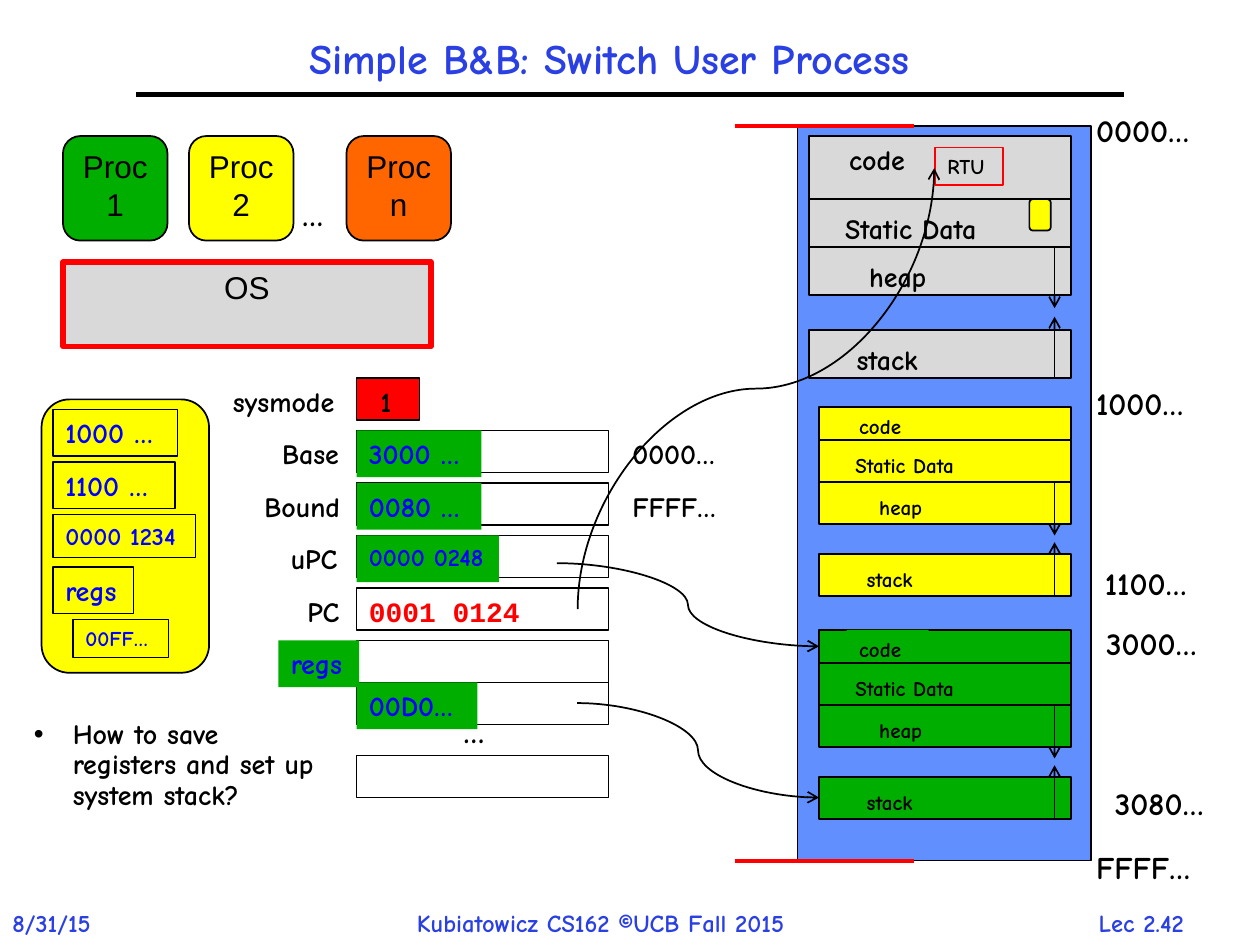
from dataclasses import dataclass

from lxml.etree import SubElement
from pptx import Presentation
from pptx.dml.color import RGBColor
from pptx.enum.shapes import MSO_CONNECTOR as Link, MSO_SHAPE as Preset
from pptx.enum.text import MSO_ANCHOR as Anchor, MSO_AUTO_SIZE as Fit, PP_ALIGN as Align
from pptx.oxml.ns import qn
from pptx.util import Inches, Pt


@dataclass(frozen=True)
class Theme:
    comic: str = "Comic Neue"
    sans: str = "Arial"
    mono: str = "Courier New"
    black: str = "000000"
    heading: str = "2A40E2"
    value: str = "0000FF"
    red: str = "FF0000"
    green: str = "00AE00"
    yellow: str = "FFFF00"
    orange: str = "FF6600"
    gray: str = "D9D9D9"
    memory: str = "618FFD"
    title_size: int = 24
    large: int = 18
    medium: int = 16
    footer_size: int = 14
    small: int = 12


THEME = Theme()
ROW_STEP = 5 / 12
ROW_HEIGHT = 1 / 3


def write(target, text, size, color=THEME.black, font=THEME.comic, align=Align.LEFT):
    frame = target.text_frame
    frame.text = text
    frame.vertical_anchor = Anchor.TOP
    paragraph = frame.paragraphs[0]
    paragraph.alignment = align
    letters = paragraph.runs[0].font
    letters.name, letters.size = font, Pt(size)
    letters.bold = font != THEME.sans
    letters.color.rgb = RGBColor.from_string(color)
    return paragraph


def outline(target, color, width):
    target.line.color.rgb = RGBColor.from_string(color)
    target.line.width = Pt(width)


def block(parent, box, fill=None, line=THEME.black, width=1, preset=Preset.RECTANGLE):
    shape = parent.add_shape(preset, *map(Inches, box))
    shape.shadow.inherit = False
    if fill:
        shape.fill.solid()
        shape.fill.fore_color.rgb = RGBColor.from_string(fill)
    else:
        shape.fill.background()
    outline(shape, line, width)
    return shape


def label(parent, box, text, size, color=THEME.black, fill=None, line=None, font=THEME.comic):
    field = parent.add_textbox(*map(Inches, box))
    write(field, text, size, color, font)
    field.text_frame.word_wrap = False
    field.text_frame.auto_size = Fit.SHAPE_TO_FIT_TEXT
    if fill:
        field.fill.solid()
        field.fill.fore_color.rgb = RGBColor.from_string(fill)
    if line:
        outline(field, line, 0.75)
    return field


def link(parent, start, end, color=THEME.black, width=1, kind=Link.STRAIGHT, arrow=False):
    connector = parent.add_connector(kind, *map(Inches, (*start, *end)))
    outline(connector, color, width)
    properties = connector._element.spPr
    if arrow:
        SubElement(properties.find(qn("a:ln")), qn("a:tailEnd"), type="arrow")
    SubElement(properties, qn("a:effectLst"))
    return connector


def heading(shapes, box):
    x, y, w, h = box
    title = shapes.add_textbox(*map(Inches, box))
    title.text_frame.word_wrap = True
    write(title, "Simple B&B: Switch User Process", THEME.title_size,
          THEME.heading, align=Align.CENTER).line_spacing = 0.9
    title.text_frame.vertical_anchor = Anchor.MIDDLE
    link(shapes, (x + 0.58, y + 0.67), (x + w - 0.25, y + 0.67), width=3)


def footer(shapes, box):
    x, y, w, h = box
    for offset, width, text in ((0, 1, "8/31/15"),
                                (3.21, 3.61, "Kubiatowicz CS162 ©UCB Fall 2015"),
                                (8.62, 1.21, "Lec 2.42")):
        label(shapes, (x + offset, y, width, h), text, THEME.footer_size, THEME.heading)


def processes(shapes, box):
    x, y, w, h = box
    system = block(shapes, (x, y + 1, w, 0.67), THEME.gray, THEME.red, 3)
    write(system, "OS", THEME.large, font=THEME.sans, align=Align.CENTER)
    for offset, name, fill in ((0, "Proc 1", THEME.green), (1, "Proc 2", THEME.yellow),
                               (2.25, "Proc n", THEME.orange)):
        process = block(shapes, (x + offset, y, 0.83, 0.83), fill,
                        preset=Preset.ROUNDED_RECTANGLE)
        write(process, name, THEME.large, font=THEME.sans, align=Align.CENTER)
    label(shapes, (x + 1.8, y + 0.42, 0.45, 0.4), "…", THEME.large)


def saved_state(shapes, box):
    x, y, w, h = box
    block(shapes, box, THEME.yellow, preset=Preset.ROUNDED_RECTANGLE)
    fields = (("1000 …", 0.09, 0.99, 0.37, THEME.medium),
              ("1100 …", 0.09, 0.97, 0.37, THEME.medium),
              ("0000 1234", 0.09, 1.13, 0.34, THEME.footer_size),
              ("regs", 0.09, 0.64, 0.37, THEME.medium),
              ("00FF…", 0.25, 0.76, 0.3, THEME.small))
    for row, (text, indent, width, height, size) in enumerate(fields):
        label(shapes, (x + indent, y + 0.08 + row * ROW_STEP, width, height), text, size,
              THEME.value, THEME.yellow, THEME.black)


def registers(shapes, box):
    x, y, w, h = box
    medium, green, blue = THEME.medium, THEME.green, THEME.value
    block(shapes, (x, y, 0.5, ROW_HEIGHT), THEME.red)
    label(shapes, (x + 0.09, y, 0.33, 0.37), "1", medium)
    tops = [y + row * ROW_STEP for row in range(6)]
    for top in (*tops[1:], tops[5] + ROW_HEIGHT, y + h - ROW_HEIGHT):
        block(shapes, (x, top, w, ROW_HEIGHT))
    names = (("sysmode", 1.1, THEME.black, None), ("Base", 0.71, THEME.black, None),
             ("Bound", 0.85, THEME.black, None), ("uPC", 0.64, THEME.black, None),
             ("PC", 0.51, THEME.black, None), ("regs", 0.64, blue, green))
    for top, (name, width, color, fill) in zip(tops, names):
        label(shapes, (x + 0.02 - width, top, width, 0.37), name, medium, color, fill)
    for top, text, width, size in ((tops[1], "3000 …", 0.99, medium),
                                   (tops[2], "0080 …", 0.99, medium),
                                   (tops[3], "0000 0248", 1.13, THEME.footer_size),
                                   (tops[5] + ROW_HEIGHT, "00D0…", 0.96, medium)):
        label(shapes, (x, top, width, 0.37), text, size, blue, green)
    label(shapes, (x, tops[4], 1.41, 0.37), "0001 0124", medium, THEME.red, font=THEME.mono)
    label(shapes, (x + 0.75, y + 2.6, 0.45, 0.4), "…", THEME.large)
    for top, text in ((tops[1], "0000…"), (tops[2], "FFFF…")):
        label(shapes, (x + w + 0.09, top, 0.95, 0.37), text, medium)


def address_space(shapes, box, fill, size, code_height, row, widths, opaque=()):
    x, y, w, h = box
    parts = shapes.add_group_shape().shapes
    heap_top, stack_top = y + code_height + row, y + h - row
    segments = (("code", y, code_height, 0.22, 0),
                ("Static Data", y + code_height, row, 0.19, 0.05),
                ("heap", heap_top, row, 0.38, 0.05),
                ("stack", stack_top, row, 0.28, 0.05))
    for (name, top, height, indent, drop), width in zip(segments, widths):
        block(parts, (x, top, w, height), fill)
        label(parts, (x + indent, top + drop, width, 0.3), name, size,
              fill=fill if name in opaque else None)
    growth_x, reach = x + w - 0.13, 1.28 * row
    link(parts, (growth_x, y + h), (growth_x, y + h - reach), arrow=True)
    link(parts, (growth_x, heap_top), (growth_x, heap_top + reach), arrow=True)


def memory(shapes, box):
    x, y, w, h = box
    block(shapes, box, THEME.memory)
    address_space(shapes, (x + 0.09, y + 0.08, 2.08, 1.92), THEME.gray, THEME.medium,
                  0.5, 0.38, (0.78, 1.48, 0.8, 0.84))
    for top, fill, opaque in ((2.23, THEME.yellow, ("Static Data",)),
                              (4, THEME.green, ("code", "Static Data"))):
        address_space(shapes, (x + 0.17, y + top, 2, 1.5), fill, THEME.small,
                      0.26, ROW_HEIGHT, (0.65, 1.17, 0.66, 0.68), opaque)
    for indent, top, text in ((2.27, -0.17, "0000…"), (2.27, 2, "1000…"),
                              (2.34, 3.43, "1100…"), (2.35, 3.9, "3000…"),
                              (2.42, 5.17, "3080…"), (2.27, 5.68, "FFFF…")):
        label(shapes, (x + indent, y + top, 1.02, 0.4), text, THEME.large)
    for edge in (y, y + h):
        link(shapes, (x - 0.5, edge), (x + 0.92, edge), THEME.red, 2.25)
    label(shapes, (x + 1.09, y + 0.17, 0.54, 0.3), "RTU", THEME.small, line=THEME.red)
    block(shapes, (x + 1.84, y + 0.58, 0.17, 0.25), THEME.yellow,
          preset=Preset.ROUNDED_RECTANGLE)


def pointers(shapes):
    for start, end in (((4.42, 4.47), (6.5, 5.13)), ((4.58, 5.58), (6.5, 6.33))):
        link(shapes, start, end, kind=Link.CURVE, arrow=True)
    kernel_entry = link(shapes, (7.75, 4.5), (4.25, 1.67), kind=Link.CURVE, arrow=True)
    kernel_entry._element.spPr.find(qn("a:xfrm")).set("rot", "5400000")


def question(shapes, box):
    body = shapes.add_textbox(*map(Inches, box))
    body.text_frame.word_wrap = True
    paragraph = write(body, "How to save registers and set up system stack?", THEME.medium)
    paragraph.line_spacing, paragraph.space_before = 0.9, Pt(5)
    properties = paragraph._p.get_or_add_pPr()
    properties.set("marL", str(Inches(0.31)))
    properties.set("indent", str(Inches(-0.31)))
    SubElement(properties, qn("a:buFont"), typeface=THEME.sans)
    SubElement(properties, qn("a:buChar"), char="•")


def main():
    deck = Presentation()
    deck.slide_width, deck.slide_height = Inches(10), Inches(7.5)
    shapes = deck.slides.add_slide(deck.slide_layouts[6]).shapes
    footer(shapes, (0, 7.16, 10, 0.34))
    heading(shapes, (0.5, 0.08, 8.67, 0.81))
    processes(shapes, (0.5, 1.08, 2.92, 1.67))
    saved_state(shapes, (0.33, 3.17, 1.33, 2.17))
    memory(shapes, (6.33, 1, 2.33, 5.83))
    registers(shapes, (2.83, 3, 2, 3.33))
    pointers(shapes)
    question(shapes, (0.17, 5.67, 2.5, 1.17))
    deck.save("out.pptx")


if __name__ == "__main__":
    main()
